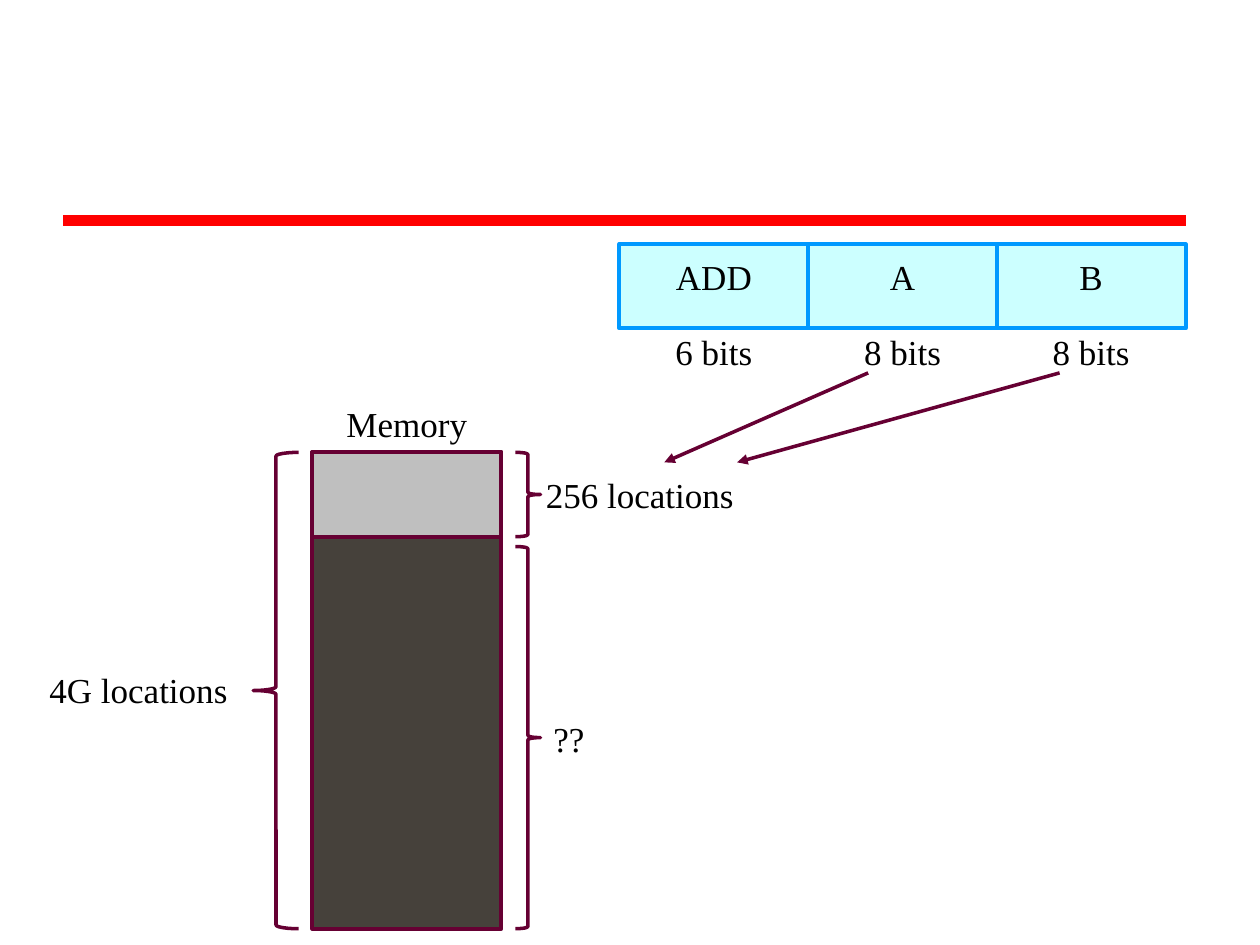
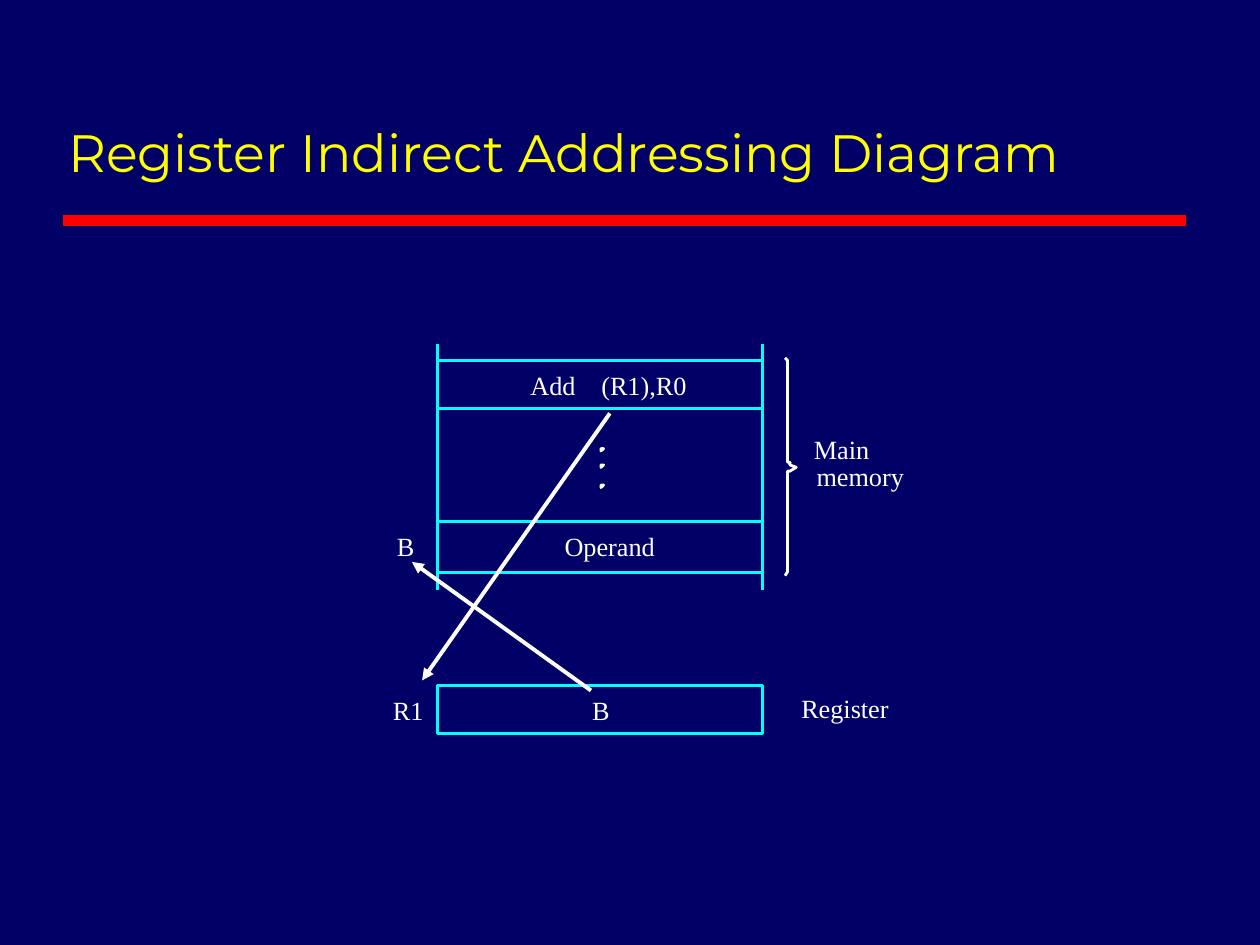
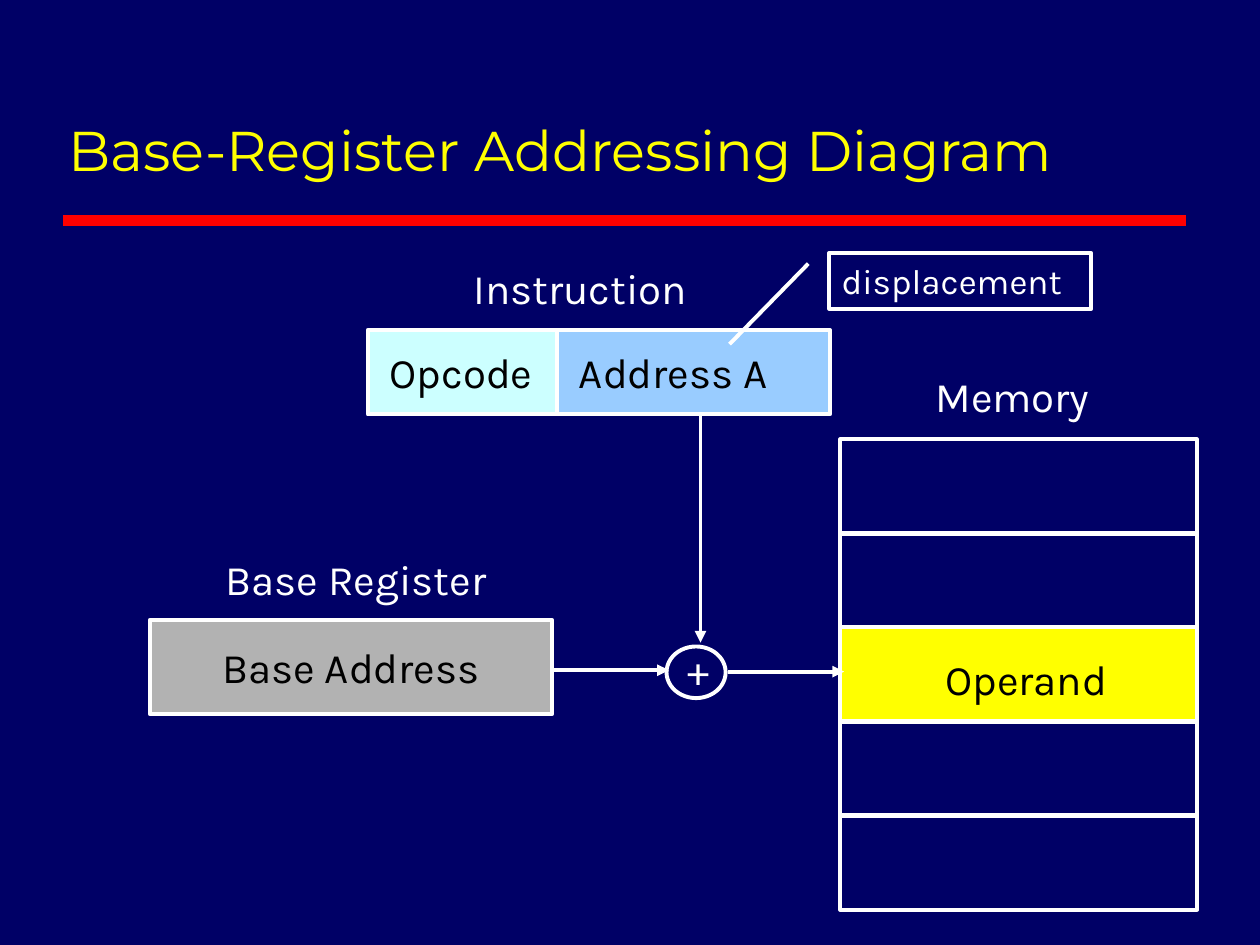
import pptx
import pptx.dml.color
import pptx.enum.shapes
import pptx.enum.text
import pptx.oxml.ns
import pptx.oxml.xmlchemy
import pptx.util
from pptx.oxml.xmlchemy import OxmlElement

Pt = pptx.util.Pt
SHAPE = pptx.enum.shapes.MSO_SHAPE
ALIGN = pptx.enum.text.PP_ALIGN
ANCHOR = pptx.enum.text.MSO_ANCHOR

BLACK, WHITE, NAVY = "000000", "FFFFFF", "000066"
RED, YELLOW, CYAN, MAROON = "FF0000", "FFFF00", "00FFFF", "660033"
ICE, SKY, AZURE = "CCFFFF", "99CCFF", "0099FF"
LIGHT_GREY, MID_GREY, DARK_GREY = "BFBFBF", "B2B2B2", "46413B"

SERIF, SANS, HEADING = "Times New Roman", "Karla", "Montserrat"
TITLE_ONLY, BLANK = 5, 6
INSETS = (7.2, 3.6, 7.2, 3.6)


def rgb(value):
    return pptx.dml.color.RGBColor.from_string(value)


def write(tf, text, *, font, size, color, align=ALIGN.LEFT, anchor=ANCHOR.TOP,
          insets=INSETS, tab=None):
    """Fill a text frame; only left-aligned text wraps at the box edge."""
    tf.auto_size = pptx.enum.text.MSO_AUTO_SIZE.NONE
    tf.word_wrap = align == ALIGN.LEFT
    tf.vertical_anchor = anchor
    tf.margin_left, tf.margin_top, tf.margin_right, tf.margin_bottom = map(Pt, insets)
    p = tf.paragraphs[0]
    p.alignment = align
    if tab:
        stops = OxmlElement("a:tabLst")
        stop = OxmlElement("a:tab")
        stop.set("pos", str(Pt(tab)))
        stop.set("algn", "l")
        stops.append(stop)
        p._p.get_or_add_pPr().append(stops)
    r = p.add_run()
    r.text = text
    r.font.name, r.font.size = font, Pt(size)
    r.font.color.rgb = rgb(color)


class Deck:
    """Holds the presentation, the current slide and its line and text style."""

    def __init__(self):
        self.prs = pptx.Presentation()
        self.prs.slide_width, self.prs.slide_height = Pt(720), Pt(540)
        self.paint(self.prs.slide_master, NAVY)

    def paint(self, page, color):
        page.background.fill.solid()
        page.background.fill.fore_color.rgb = rgb(color)

    def new_slide(self, layout, *, line, width, **text_style):
        self.s = self.prs.slides.add_slide(self.prs.slide_layouts[layout])
        self.line_color, self.line_width = line, width
        self.text_style = text_style

    def title(self, text, size):
        sp = self.s.shapes.title
        sp.left, sp.top, sp.width, sp.height = map(Pt, (31.7, 18, 645.8, 90))
        write(sp.text_frame, text, font=HEADING, size=size, color=YELLOW,
              anchor=ANCHOR.BOTTOM)

    def stroke(self, sp, color=None, width=None):
        sp.line.color.rgb = rgb(color or self.line_color)
        sp.line.width = Pt(width or self.line_width)

    def shape(self, kind, x, y, w, h, fill=None, text=None, line=None, width=None,
              **style):
        sp = self.s.shapes.add_shape(kind, Pt(x), Pt(y), Pt(w), Pt(h))
        sp.shadow.inherit = False
        if fill:
            sp.fill.solid()
            sp.fill.fore_color.rgb = rgb(fill)
        else:
            sp.fill.background()
        self.stroke(sp, line, width)
        if text:
            write(sp.text_frame, text, **{**self.text_style, **style})
        return sp

    def box(self, *args, **kwargs):
        return self.shape(SHAPE.RECTANGLE, *args, **kwargs)

    def label(self, text, x, y, w, h, **style):
        sp = self.s.shapes.add_textbox(Pt(x), Pt(y), Pt(w), Pt(h))
        write(sp.text_frame, text, **{**self.text_style, **style})

    def line(self, x1, y1, x2, y2, color=None, width=None, arrow=False):
        cx = self.s.shapes.add_connector(
            pptx.enum.shapes.MSO_CONNECTOR.STRAIGHT, Pt(x1), Pt(y1), Pt(x2), Pt(y2))
        self.stroke(cx, color, width)
        if arrow:
            tail = OxmlElement("a:tailEnd")
            tail.set("type", "triangle")
            cx.line._get_or_add_ln().append(tail)
        cx.element.spPr.append(OxmlElement("a:effectLst"))
        return cx

    def outline(self, points, close=False):
        start, *rest = [(Pt(x), Pt(y)) for x, y in points]
        builder = self.s.shapes.build_freeform(*start)
        builder.add_line_segments(rest, close=close)
        sp = builder.convert_to_shape()
        sp.shadow.inherit = False
        sp.fill.background()
        self.stroke(sp, WHITE)

    def share_title_rule(self):
        """Draw the red rule and move it to the master, behind every slide."""
        rule = self.line(36, 126, 678, 126, RED, 6)
        self.prs.slide_master.shapes.element.append(rule.element)


def memory_reach(deck):
    deck.new_slide(BLANK, line=MAROON, width=2, font=SERIF, size=20, color=BLACK,
                   anchor=ANCHOR.MIDDLE, insets=(3, 0, 3, 11))
    deck.share_title_rule()
    deck.paint(deck.s, WHITE)
    row_h, col_w = 48.25, 108
    mem_x, mem_y, mem_h = 178.5, 258.5, 272.2

    fields = [("ADD", "6 bits"), ("A", "8 bits"), ("B", "8 bits")]
    for i, (name, bits) in enumerate(fields):
        x = 354 + 107.75 * i
        deck.box(x, 139.5, col_w, row_h, ICE, name, line=AZURE, width=2.25,
                 align=ALIGN.CENTER)
        deck.label(bits, x, 182.2, col_w, row_h, align=ALIGN.CENTER)

    deck.box(mem_x, mem_y, col_w, mem_h, DARK_GREY, width=2.25)
    deck.box(mem_x, mem_y, col_w, row_h, LIGHT_GREY, width=2.25)
    deck.label("Memory", mem_x, 223.2, col_w, row_h, align=ALIGN.CENTER)

    deck.shape(SHAPE.LEFT_BRACE, 144.7, mem_y, 26, mem_h)
    deck.shape(SHAPE.RIGHT_BRACE, 294.5, mem_y, 14.4, row_h)
    deck.shape(SHAPE.RIGHT_BRACE, 294.5, 312.3, 14.4, 218.4)
    for text, x, y in [("4G locations", 25.2, 375.1), ("256 locations", 308.9, 264.2),
                       ("??", 313.2, 403.2)]:
        deck.label(text, x, y, 142, row_h)

    for x1, x2 in [(496.1, 379.6), (605.5, 421.2)]:
        deck.line(x1, 213.1, x2, 264.2, arrow=True)


def register_indirect(deck):
    deck.new_slide(TITLE_ONLY, line=CYAN, width=1.62, font=SERIF, size=15,
                   color=WHITE, insets=(0, 0, 0, 0))
    deck.title("Register Indirect Addressing Diagram", 30)
    left, right = 249.8, 435.6

    deck.box(left, 391.7, right - left, 27.4)
    for y in (205.9, 233.3, 298.1, 327.2):
        deck.line(right, y, left, y)
    for x in (left, right):
        deck.line(x, 337, x, 196.6)

    labels = [("R1", 224.6, 396.7, 20), ("Register", 457.9, 395.3, 53),
              ("B", 338.4, 396.7, 13), ("memory", 466.6, 262.8, 53),
              ("Main", 465.1, 247.7, 35), ("Operand", 322.6, 303.1, 55),
              ("B", 226.8, 303.1, 13)]
    for text, x, y, w in labels:
        deck.label(text, x, y, w, 18)
    deck.label("Add\t(R1),R0", 303.1, 211, 92, 18, tab=40.5)

    for y in (256.3, 265.7, 277.2):
        deck.outline([(343.4, y), (343.4, y + 1.4), (344.9, y)], close=True)

    deck.outline([(448.6, 204.5), (450, 206), (450, 264.2), (451.4, 264.2),
                  (451.4, 265.7), (455, 267.1), (451.4, 269.3), (450, 269.3),
                  (450, 326.9), (448.6, 329)])
    deck.line(348.5, 236.2, 241.2, 388.8, WHITE, 2.25, arrow=True)
    deck.line(337.7, 394.6, 235.4, 321.1, WHITE, 2.25, arrow=True)


def base_register(deck):
    deck.new_slide(TITLE_ONLY, line=WHITE, width=2.25, font=SANS, size=24,
                   color=WHITE, align=ALIGN.CENTER)
    deck.title("Base-Register Addressing Diagram", 32)

    deck.box(318.2, 188.6, 156.2, 48.25, SKY)
    deck.box(210.2, 188.6, 108, 48.25, ICE)
    for i in range(5):
        deck.box(480.2, 251.1 + 53.7 * i, 203.8, 54, YELLOW if i == 2 else None)
    deck.box(85.7, 354.2, 229.7, 54, MID_GREY, "Base Address", color=BLACK,
             anchor=ANCHOR.MIDDLE)
    deck.shape(SHAPE.OVAL, 380.9, 369.4, 33.8, 29.5)

    labels = [("Instruction", 262.8, 146.2, 137.5, WHITE),
              ("Memory", 524.2, 208.1, 108.7, WHITE),
              ("Operand", 529.2, 370.1, 114.5, BLACK),
              ("+", 385.2, 364.3, 28, WHITE),
              ("Opcode", 212.4, 194.4, 102.2, BLACK),
              ("Address A", 321.1, 194.4, 127.4, BLACK),
              ("Base Register", 119.5, 312.5, 167.8, WHITE)]
    for text, x, y, w, color in labels:
        deck.label(text, x, y, w, 36, color=color)

    for ends in [(400.3, 236.2, 400.3, 367.2), (316.1, 383, 382.3, 383),
                 (416.2, 383.8, 482.4, 383.8)]:
        deck.line(*ends, arrow=True)

    callout = deck.shape(SHAPE.LINE_CALLOUT_1, 473.8, 144.7, 149.8, 31.7,
                         text="displacement", size=20, align=ALIGN.LEFT)
    for i, value in enumerate((0.19, -0.08, 1.64, -0.38)):
        callout.adjustments[i] = value


def main():
    deck = Deck()
    memory_reach(deck)
    register_indirect(deck)
    base_register(deck)
    deck.prs.save("out.pptx")


if __name__ == "__main__":
    main()
